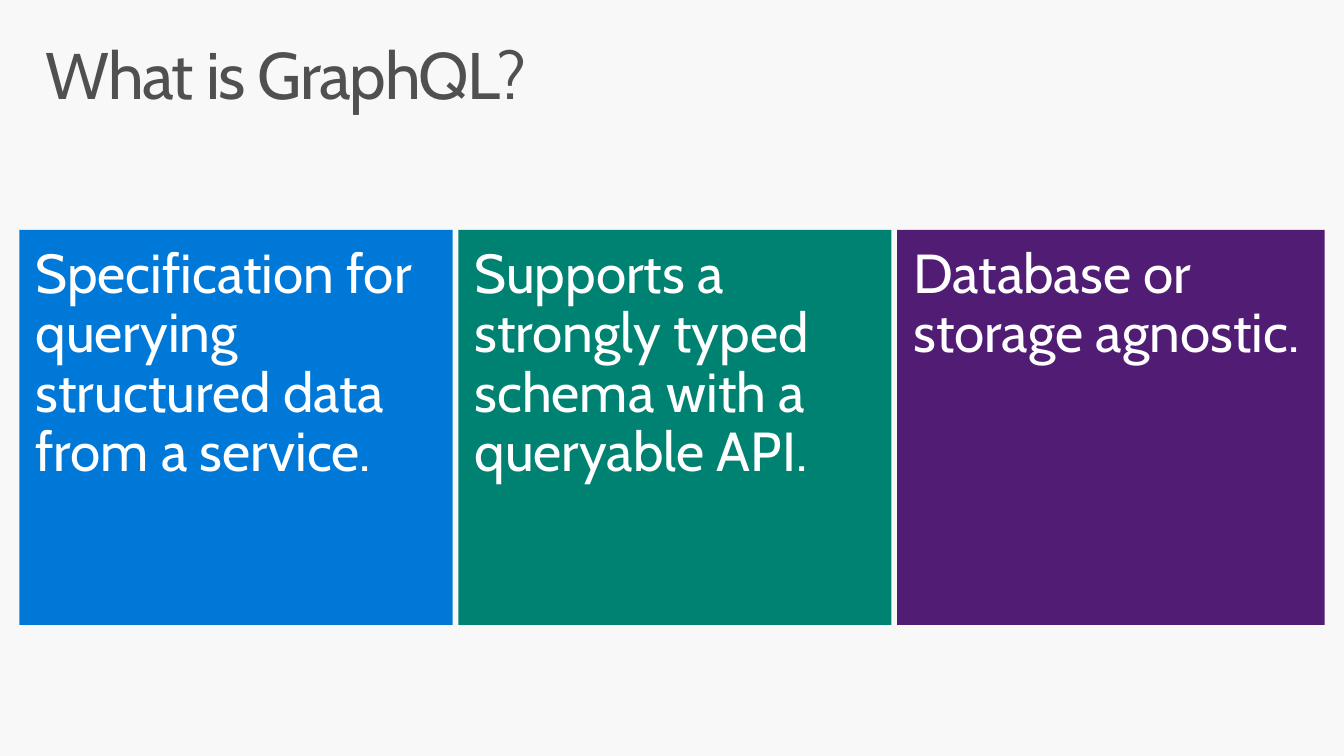
from pptx import Presentation
from pptx.dml.color import RGBColor
from pptx.enum.shapes import MSO_SHAPE
from pptx.enum.text import MSO_ANCHOR, PP_ALIGN
from pptx.util import Pt

RECT = MSO_SHAPE.RECTANGLE
TOP = MSO_ANCHOR.TOP
LEFT = PP_ALIGN.LEFT

FONT = "Cabin"
TILES = [
    ("Specification for querying structured data from a service.", "0078D7", 309.4),
    ("Supports a strongly typed schema with a queryable API.", "008272", 309.4),
    ("Database or storage agnostic.", "511C74", 305.3),
]


def color(value):
    """Turn a hex string into a colour."""
    return RGBColor.from_string(value)


def write(s, text, size=39.2, fill="FFFFFF", inset=11.52, spacing=None):
    """Put one formatted paragraph into a shape."""
    tf = s.text_frame
    tf.word_wrap = True
    tf.vertical_anchor = TOP
    tf.margin_left = tf.margin_right = Pt(11.52)
    tf.margin_top = tf.margin_bottom = Pt(inset)
    p = tf.paragraphs[0]
    p.alignment = LEFT
    p.line_spacing = 0.9
    r = p.add_run()
    r.text = text
    r.font.name = FONT
    r.font.size = Pt(size)
    r.font.color.rgb = color(fill)
    if spacing is not None:
        r.font._element.set("spc", str(round(spacing * 100)))


def add_title(slide, x, y, w, h):
    """Add the slide title in the given box."""
    s = slide.shapes.add_textbox(Pt(x), Pt(y), Pt(w), Pt(h))
    write(s, "What is GraphQL?", size=47, fill="505050", inset=7.2, spacing=-1)


def add_tiles(slide, x, y, h, gap):
    """Add the row of coloured tiles from left to right."""
    for text, fill, w in TILES:
        s = slide.shapes.add_shape(RECT, Pt(x), Pt(y), Pt(w), Pt(h))
        s.shadow.inherit = False
        s.fill.solid()
        s.fill.fore_color.rgb = color(fill)
        s.line.fill.background()
        write(s, text)
        x += w + gap


def main():
    """Build and save the slide."""
    prs = Presentation()
    prs.slide_width, prs.slide_height = Pt(960), Pt(540)
    slide = prs.slides.add_slide(prs.slide_layouts[6])
    slide.background.fill.solid()
    slide.background.fill.fore_color.rgb = color("F8F8F8")
    add_title(slide, 21, 23, 918, 70.5)
    add_tiles(slide, 13.9, 164.2, 282.2, 4.1)
    prs.save("out.pptx")


if __name__ == "__main__":
    main()
